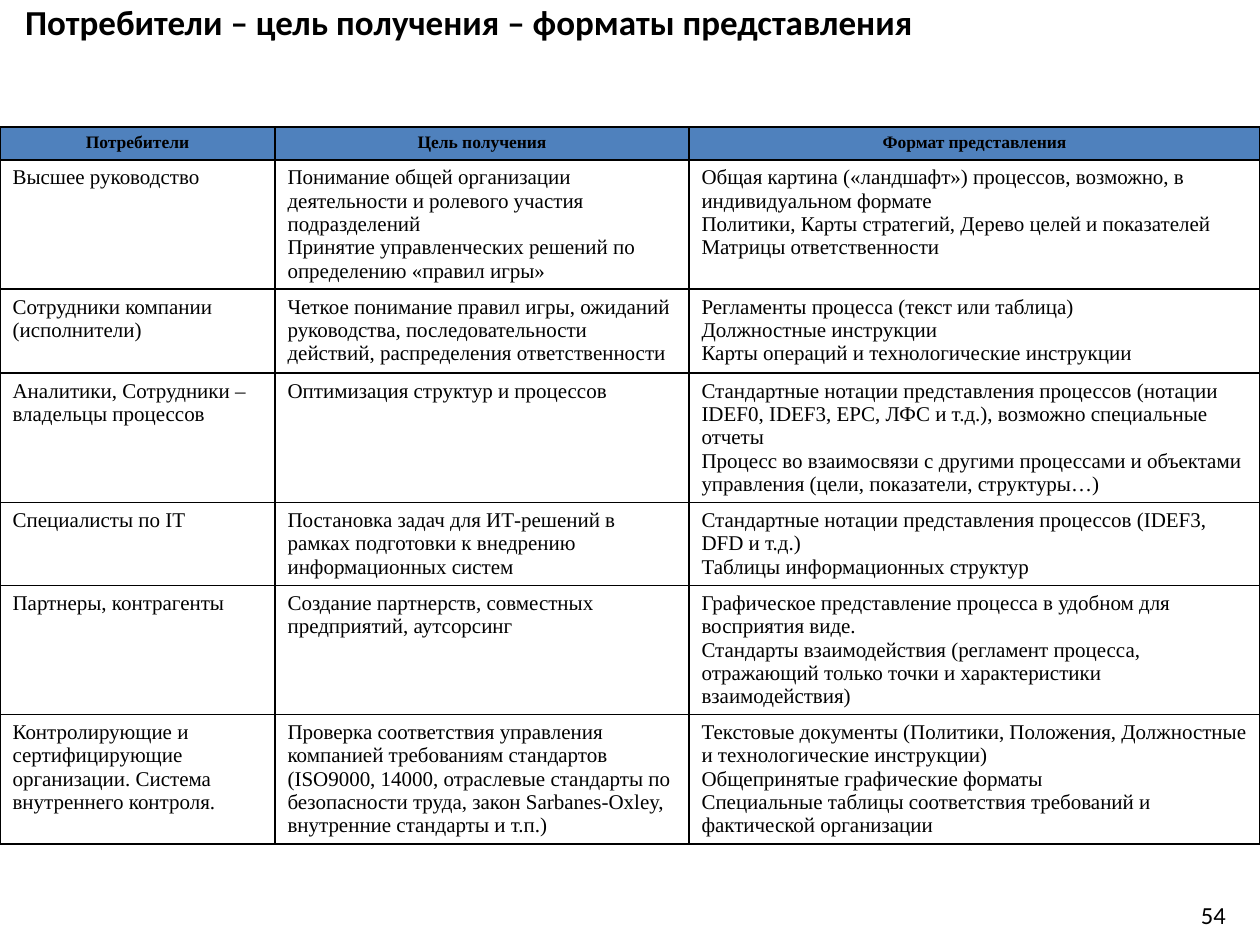
from lxml import etree
from pptx import Presentation
from pptx import util as u
from pptx.dml.color import RGBColor
from pptx.enum import text
from pptx.oxml import ns

PX = u.Inches(1) // 126
BLACK, HEADER_BLUE = "000000", "4F81BD"
COLUMN_WIDTHS = [275, 414, 571]
ROW_HEIGHTS = [33, 129, 84, 129, 83, 129, 129]
HEADERS = ["Потребители", "Цель получения", "Формат представления"]
# Each cell is a list of paragraphs.
CONSUMERS = [
    [["Высшее руководство"],
     ["Понимание общей организации деятельности и ролевого участия подразделений",
      "Принятие управленческих решений по определению «правил игры»"],
     ["Общая картина («ландшафт») процессов, возможно, в индивидуальном формате",
      "Политики, Карты стратегий, Дерево целей и показателей",
      "Матрицы ответственности"]],
    [["Сотрудники компании (исполнители)"],
     ["Четкое понимание правил игры, ожиданий руководства, последовательности действий, "
      "распределения ответственности"],
     ["Регламенты процесса (текст или таблица)",
      "Должностные инструкции",
      "Карты операций и технологические инструкции"]],
    [["Аналитики, Сотрудники – владельцы процессов"],
     ["Оптимизация структур и процессов"],
     ["Стандартные нотации представления процессов (нотации IDEF0, IDEF3, EPC, ЛФС и т.д.), "
      "возможно специальные отчеты",
      "Процесс во взаимосвязи с другими процессами и объектами управления "
      "(цели, показатели, структуры…)"]],
    [["Специалисты по IT"],
     ["Постановка задач для ИТ-решений в рамках подготовки к внедрению информационных систем"],
     ["Стандартные нотации представления процессов (IDEF3, DFD и т.д.)",
      "Таблицы информационных структур"]],
    [["Партнеры, контрагенты"],
     ["Создание партнерств, совместных предприятий, аутсорсинг"],
     ["Графическое представление процесса в удобном для восприятия виде.",
      "Стандарты взаимодействия (регламент процесса, отражающий только точки и "
      "характеристики взаимодействия)"]],
    [["Контролирующие и сертифицирующие организации. Система внутреннего контроля."],
     ["Проверка соответствия управления компанией требованиям стандартов (ISO9000, 14000, "
      "отраслевые стандарты по безопасности труда, закон Sarbanes-Oxley, "
      "внутренние стандарты и т.п.)"],
     ["Текстовые документы (Политики, Положения, Должностные и технологические инструкции)",
      "Общепринятые графические форматы",
      "Специальные таблицы соответствия требований и фактической организации"]],
]


def color(value):
    return RGBColor.from_string(value)


def scaled(box):
    return [length * PX for length in box]


def write(frame, lines, size, font="Calibri", bold=False, align=text.PP_ALIGN.LEFT):
    frame.text = "\n".join(lines)
    for paragraph in frame.paragraphs:
        paragraph.alignment = align
        paragraph.font.name = font
        paragraph.font.size = u.Pt(size)
        paragraph.font.bold = bold
        paragraph.font.color.rgb = color(BLACK)


def clear_margins(frame):
    frame.margin_left = frame.margin_top = frame.margin_right = frame.margin_bottom = 0
    frame.vertical_anchor = text.MSO_ANCHOR.TOP


def add_borders(cell):
    properties = cell._tc.get_or_add_tcPr()
    for side in ("lnL", "lnR", "lnT", "lnB"):
        line = etree.SubElement(properties, ns.qn(f"a:{side}"), w=str(u.Pt(1)))
        fill = etree.SubElement(line, ns.qn("a:solidFill"))
        etree.SubElement(fill, ns.qn("a:srgbClr"), val=BLACK)


def place_title(slide, box):
    title = slide.shapes.title
    title.left, title.top, title.width, title.height = scaled(box)
    clear_margins(title.text_frame)
    write(title.text_frame, ["Потребители – цель получения – форматы представления"], 20, bold=True)


def add_consumer_table(slide, left, top):
    box = scaled([left, top, sum(COLUMN_WIDTHS), sum(ROW_HEIGHTS)])
    table = slide.shapes.add_table(len(ROW_HEIGHTS), len(COLUMN_WIDTHS), *box).table
    table.horz_banding = False
    for column, width in zip(table.columns, COLUMN_WIDTHS):
        column.width = width * PX
    for row, height in zip(table.rows, ROW_HEIGHTS):
        row.height = height * PX
    for cell in table.iter_cells():
        add_borders(cell)
    for cell, header in zip(table.rows[0].cells, HEADERS):
        cell.fill.solid()
        cell.fill.fore_color.rgb = color(HEADER_BLUE)
        write(cell.text_frame, [header], 10, "Times New Roman", True, text.PP_ALIGN.CENTER)
    for row, contents in enumerate(CONSUMERS, start=1):
        for column, lines in enumerate(contents):
            cell = table.cell(row, column)
            cell.fill.background()
            write(cell.text_frame, lines, 12, "Times New Roman")


def add_page_number(slide, box):
    frame = slide.shapes.add_textbox(*scaled(box)).text_frame
    clear_margins(frame)
    write(frame, ["54"], 14)


def main():
    presentation = Presentation()
    presentation.slide_width, presentation.slide_height = scaled([1260, 945])
    slide = presentation.slides.add_slide(presentation.slide_layouts[5])
    place_title(slide, [25, 0, 1134, 111])
    add_consumer_table(slide, 0, 127)
    add_page_number(slide, [1201, 900, 32, 28])
    presentation.save("out.pptx")


if __name__ == "__main__":
    main()
